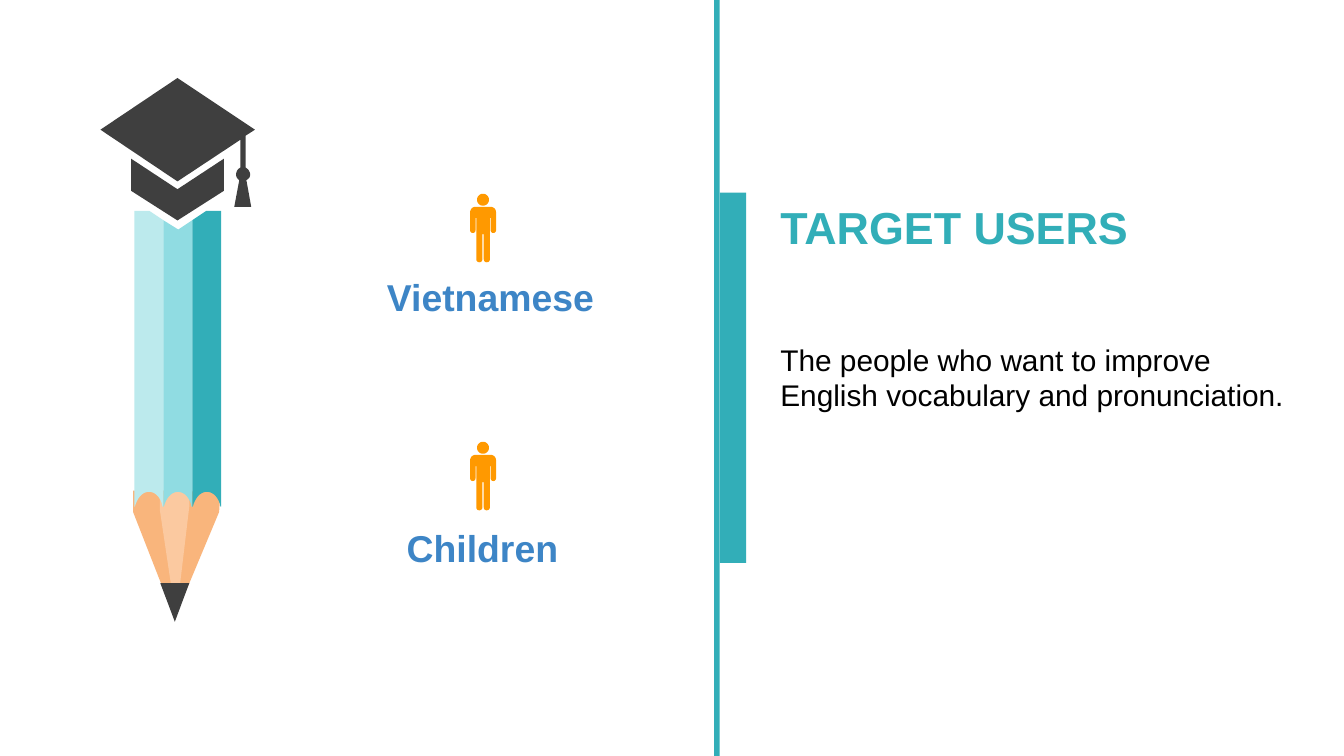
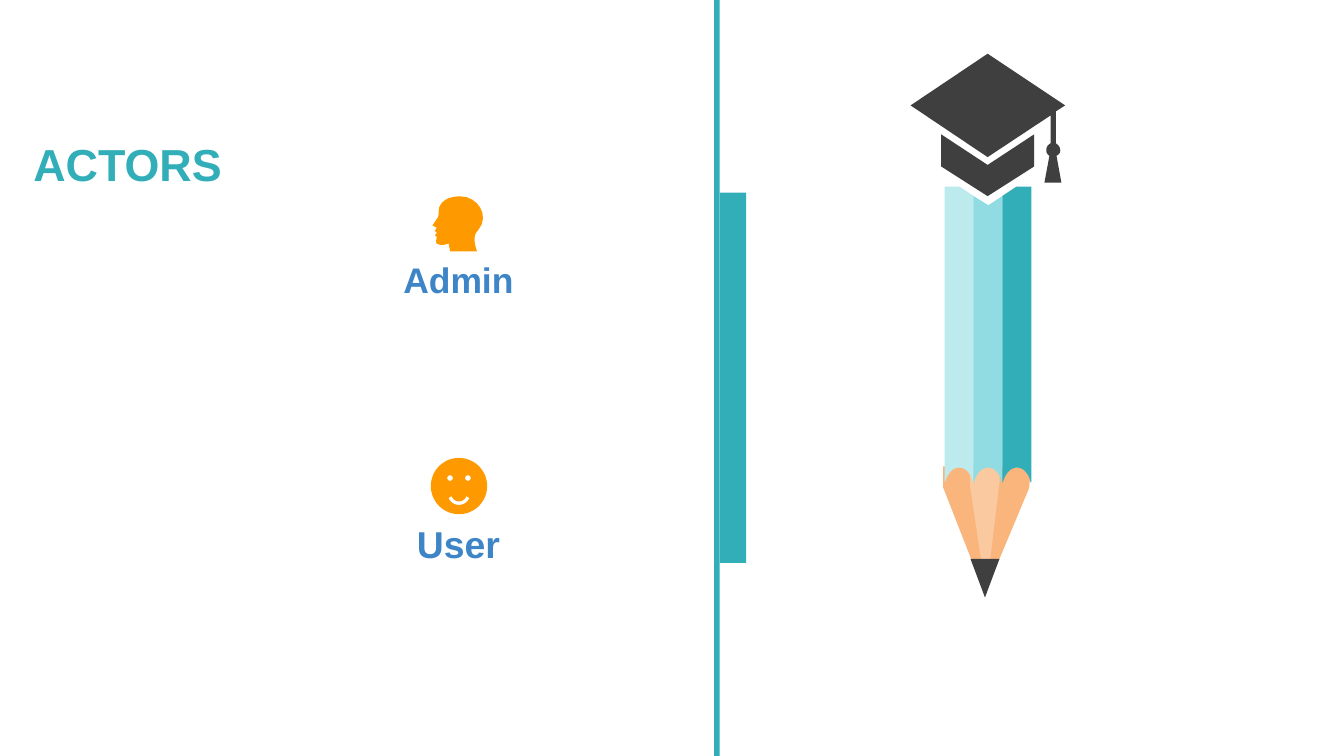
from dataclasses import dataclass
from math import cos, pi, sin

from pptx import Presentation
from pptx.dml import color
from pptx.enum import shapes, text
from pptx.util import Pt

TEAL, AQUA, PALE = "32AEB8", "90DCE2", "BCEAED"
BLUE, ORANGE, BLACK = "3D85C6", "FF9900", "000000"
WOOD, CREAM, DARK = "F9B57C", "FBC9A0", "3F3F3F"
WIDE, HIGH = 720, 405
STRIP, BARREL = 15.5, 158.4

Point = tuple[float, float]
Outline = list[tuple[float, ...]]


@dataclass
class Label:
    words: str
    x: float
    y: float
    w: float
    h: float
    size: float = 20
    hue: str = BLUE
    bold: bool = True
    mid: bool = True
    gap: float = 6


@dataclass
class Icon:
    loops: list[Outline]
    x: float
    y: float
    hue: str = ORANGE


@dataclass
class Page:
    labels: list[Label]
    icons: list[Icon]
    pencil: Point


def rgb(hue: str) -> color.RGBColor:
    return color.RGBColor.from_string(hue)


def paint(shape, hue: str) -> None:
    shape.shadow.inherit = False
    shape.fill.solid()
    shape.fill.fore_color.rgb = rgb(hue)
    shape.line.fill.background()


def block(slide, kind, x: float, y: float, w: float, h: float, hue: str):
    shape = slide.shapes.add_shape(kind, Pt(x), Pt(y), Pt(w), Pt(h))
    paint(shape, hue)
    return shape


def ring(x: float, y: float, r: float, steps: int = 48) -> Outline:
    turns = [2 * pi * i / steps for i in range(steps)]
    return [(x + r * cos(t), y + r * sin(t)) for t in turns]


def bend(start: Point, curve: tuple[float, ...], steps: int = 8) -> list[Point]:
    a, b, c, d, e, f = curve
    dots = []
    for i in range(1, steps + 1):
        t = i / steps
        k = ((1 - t) ** 3, 3 * t * (1 - t) ** 2, 3 * t * t * (1 - t), t ** 3)
        xs, ys = (start[0], a, c, e), (start[1], b, d, f)
        dots.append((sum(m * n for m, n in zip(k, xs)),
                     sum(m * n for m, n in zip(k, ys))))
    return dots


def flat(outline: Outline) -> list[Point]:
    dots = [outline[0]]
    for step in outline[1:]:
        dots += [step] if len(step) == 2 else bend(dots[-1], step)
    return dots


def trace(slide, icon: Icon) -> None:
    pen = None
    for loop in icon.loops:
        dots = [(Pt(icon.x + x), Pt(icon.y + y)) for x, y in flat(loop)]
        if pen is None:
            pen = slide.shapes.build_freeform(*dots[0], scale=1.0)
        else:
            pen.move_to(*dots[0])
        pen.add_line_segments(dots[1:], close=True)
    paint(pen.convert_to_shape(), icon.hue)


def write(slide, label: Label) -> None:
    box = slide.shapes.add_textbox(
        Pt(label.x), Pt(label.y), Pt(label.w), Pt(label.h))
    frame = box.text_frame
    frame.word_wrap = True
    frame.text = label.words
    para = frame.paragraphs[0]
    para.space_before = Pt(label.gap)
    para.alignment = text.PP_ALIGN.CENTER if label.mid else text.PP_ALIGN.LEFT
    font = para.runs[0].font
    font.name, font.size, font.bold = "Arial", Pt(label.size), label.bold
    font.color.rgb = rgb(label.hue)


def title(words: str, x: float, y: float, w: float) -> Label:
    return Label(words, x, y, w, 76.3, 24, TEAL, mid=False, gap=0)


SHAFT = [(15.5, BARREL), (15.1, BARREL),
         (14.4, 154.1, 11.5, 150.5, 7.8, 150.5),
         (4.2, 150.5, 1.4, 154.1, 0.3, BARREL), (0, BARREL)]
STRIPS = [
    (PALE, [(0, 0), (8, 0), (STRIP, 5)]),
    (AQUA, [(0, 5), (8, 10), (STRIP, 5)]),
    (TEAL, [(0, 5), (7.5, 0), (STRIP, 0)]),
]
TIMBER = [(-0.7, 149.8), (46.1, 150.5), (45.4, 161.3),
          (21.6, 218.2), (-0.7, 161.3)]
GRAIN = [(13.7, 149.8), (29.5, 149.8), (29.5, 157.7),
         (22.3, 218.2), (13.7, 160.6)]
BAND = [(-1.8, -28), (23.1, -11.6), (48, -28),
        (48, -10.8), (23.1, 5.1), (-1.8, -10.8)]
BOARD = [(23.1, -71.2), (64.6, -43.5), (59.6, -40.3), (59.6, -23.2),
         (61, -22.4, 62, -21, 62, -19.4), (62, -18, 61.2, -17.2, 60, -16.5),
         (62.6, -2.1), (53.5, -2.1), (56.2, -16.5),
         (55.2, -17.2, 54.5, -18, 54.5, -19.4),
         (54.5, -21, 55.2, -22.4, 56.8, -23.2),
         (56.8, -38.1), (23.1, -15.8), (-18.2, -43.5)]

BODY = [(2.9, 7), (11, 7), (12.6, 7, 13.9, 8.3, 13.9, 9.9), (13.9, 19.4),
        (13.9, 20.4, 13.3, 21, 12.5, 21), (11.6, 21, 11, 20.4, 11, 19.4),
        (11, 13), (10.6, 13), (10.6, 35),
        (10.6, 36, 9.9, 36.7, 8.9, 36.7), (8, 36.7, 7.3, 36, 7.3, 35),
        (7.3, 21.6), (6.6, 21.6), (6.6, 35),
        (6.6, 36, 5.9, 36.7, 4.9, 36.7), (4, 36.7, 3.3, 36, 3.3, 35),
        (3.3, 13), (2.9, 13), (2.9, 19.4),
        (2.9, 20.4, 2.3, 21, 1.4, 21), (0.6, 21, 0, 20.4, 0, 19.4),
        (0, 9.9), (0, 8.3, 1.3, 7, 2.9, 7)]
PERSON = [BODY, ring(6.9, 3.2, 3.2)]
HEAD = [[(15.1, 0), (8.6, 0, 5, 2.2, 3.6, 5.8),
         (2.9, 9.4, 3.6, 10.8, 2.2, 12.2), (1.4, 13.7, 0, 15.1, 0, 15.8),
         (0.7, 15.8, 1.4, 16.6, 2.2, 16.6), (2.2, 17.3, 0.7, 18.7, 1.4, 18.7),
         (2.2, 19.4), (2.2, 20.2, 1.4, 20.2, 1.4, 20.9),
         (1.4, 21.6, 2.9, 21.6, 2.2, 21.6), (2.2, 23, 1.4, 24.5, 2.2, 25.2),
         (2.9, 25.9, 5.8, 26.6, 8.6, 25.2), (9.4, 29.5), (23.8, 29.5),
         (21.6, 23, 22.3, 20.2, 24.5, 18), (31, 10.1, 23.8, 0, 15.1, 0)]]
MOUTH = [(4, 5.4), (3.2, 7.2, 1.7, 8.2, 0, 8.2),
         (-1.7, 8.2, -3.2, 7.2, -4, 5.4), (-5.6, 6.4),
         (-4.6, 8.7, -2.5, 10.1, 0, 10.1), (2.5, 10.1, 4.6, 8.7, 5.6, 6.4)]
SMILE = [ring(0, 0, 15.1), ring(-4.8, -4.3, 1.5), ring(4.8, -4.3, 1.5), MOUTH]

PAGES = [
    Page([Label("Vietnamese", 186.5, 143.3, 152.6, 36.7),
          title("TARGET USERS", 411, 103.7, 221),
          Label("The people who want to improve English vocabulary and "
                "pronunciation.", 411, 179.3, 294.5, 123.8, 16, BLACK,
                bold=False, mid=False),
          Label("Children", 200.9, 277.9, 115.2, 21.6)],
         [Icon(PERSON, 251.9, 103.8), Icon(PERSON, 251.9, 236.7)],
         (72, 113)),
    Page([Label("Admin", 188, 134.6, 115.2, 21.6, 19),
          title("ACTORS", 10.8, 69.8, 161.3),
          Label("User", 188, 275.8, 115.2, 21.6)],
         [Icon(HEAD, 231.8, 105.2), Icon(SMILE, 245.9, 260.4)],
         (506, 100)),
]


def pencil(slide, x: float, y: float) -> None:
    trace(slide, Icon([TIMBER], x, y, WOOD))
    trace(slide, Icon([GRAIN], x, y, CREAM))
    for i, (hue, top) in enumerate(STRIPS):
        trace(slide, Icon([top + SHAFT], x + i * STRIP, y, hue))
    tip = block(slide, shapes.MSO_SHAPE.ISOSCELES_TRIANGLE,
                x + 13.9, y + 199.4, STRIP, 20.7, DARK)
    tip.rotation = 180
    trace(slide, Icon([BAND, BOARD], x, y, DARK))


def draw(slide, page: Page) -> None:
    rect = shapes.MSO_SHAPE.RECTANGLE
    block(slide, rect, 382.6, 0, 3, HIGH, TEAL)
    block(slide, rect, 385.6, 103.2, 14.1, 198.4, TEAL)
    for label in page.labels:
        write(slide, label)
    pencil(slide, *page.pencil)
    for icon in page.icons:
        trace(slide, icon)


def main() -> None:
    deck = Presentation()
    deck.slide_width, deck.slide_height = Pt(WIDE), Pt(HIGH)
    for page in PAGES:
        draw(deck.slides.add_slide(deck.slide_layouts[6]), page)
    deck.save("out.pptx")


if __name__ == "__main__":
    main()
